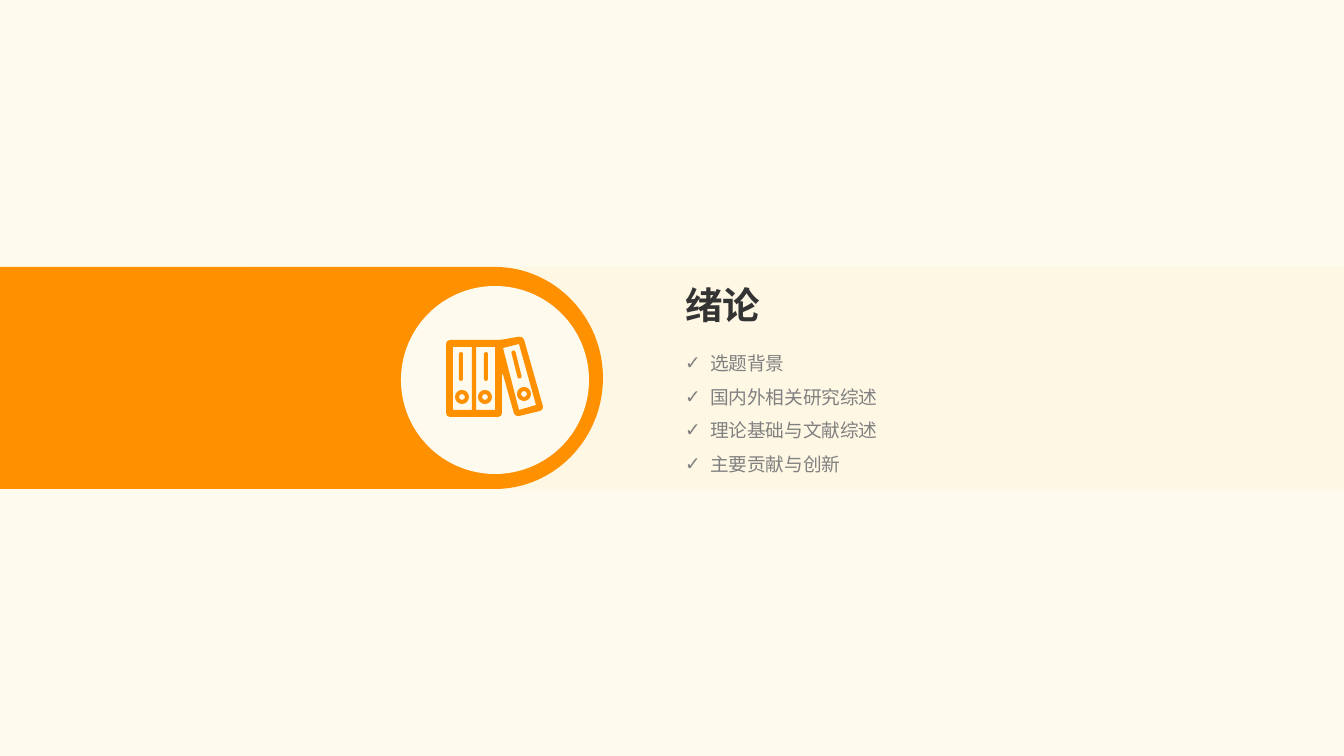
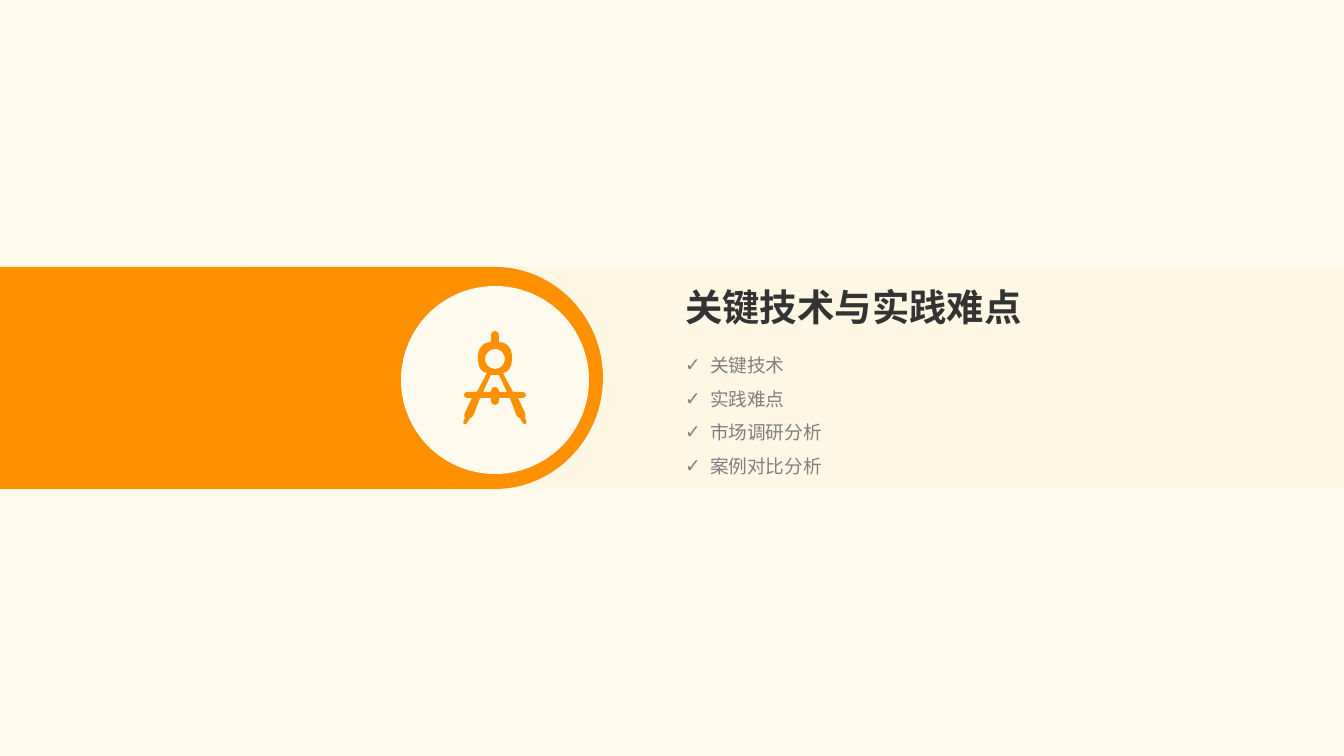
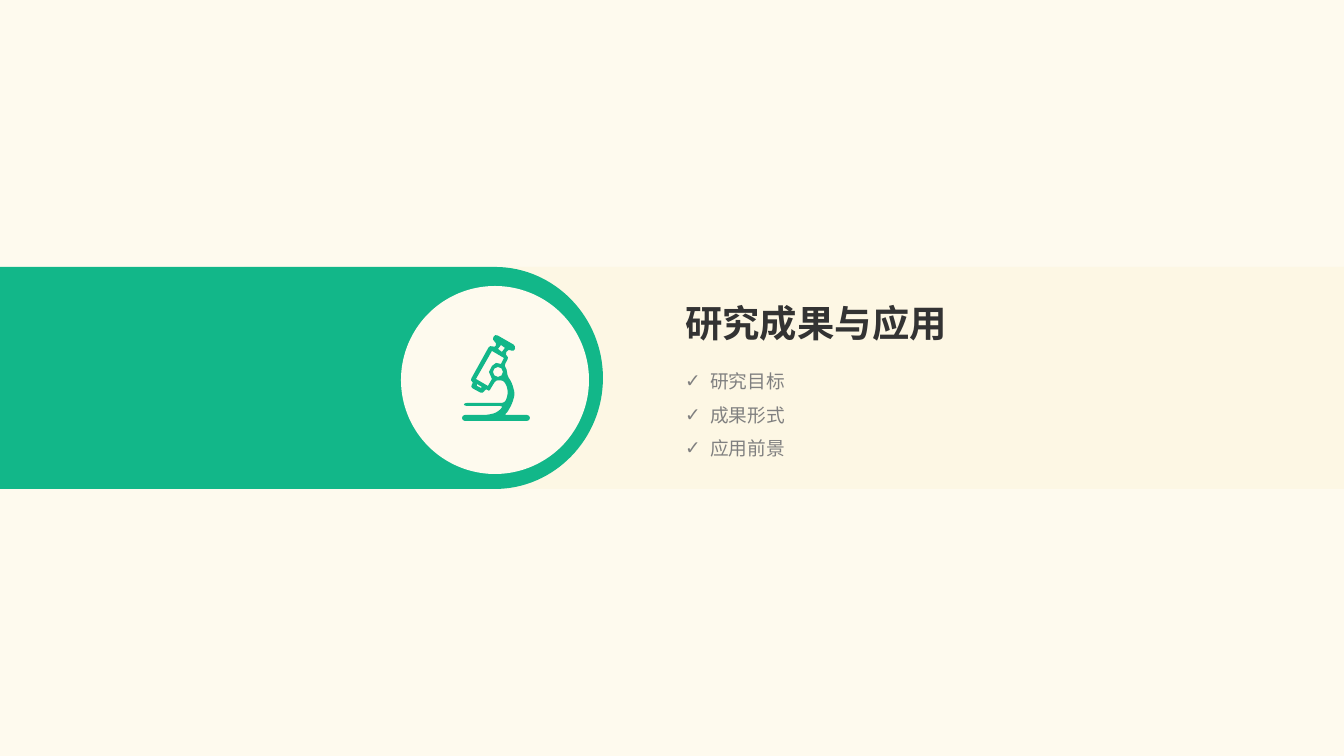
import math

import pptx
import pptx.dml.color
import pptx.enum.shapes
import pptx.enum.text
import pptx.oxml.ns
import pptx.util
from lxml import etree

PX = 914400 / 134.4
CREAM, SAND, ORANGE, GREEN = "FEFAEE", "FBECC0", "FF9101", "12B789"
DARK, GREY = "333333", "808080"
BAND_TOP, BAND_HEIGHT = 267, 222
ICON_CENTER = 495
TEXT_LEFT, TITLE_HEIGHT = 672, 59
ARC_PULL = 0.55

SECTIONS = [
    {
        "title": "绪论",
        "items": ["选题背景", "国内外相关研究综述", "理论基础与文献综述", "主要贡献与创新"],
        "font": "Arial", "color": ORANGE, "icon": "binders",
        "title_top": 276, "title_width": 106, "list_box": (334, 222, 149),
    },
    {
        "title": "关键技术与实践难点",
        "items": ["关键技术", "实践难点", "市场调研分析", "案例对比分析"],
        "font": "Roboto Condensed", "color": ORANGE, "icon": "compass",
        "title_top": 278, "title_width": 434, "list_box": (336, 165, 145),
    },
    {
        "title": "研究成果与应用",
        "items": ["研究目标", "成果形式", "应用前景"],
        "font": "Roboto Condensed", "color": GREEN, "icon": "microscope",
        "title_top": 294, "title_width": 306, "list_box": (352, 128, 112),
    },
]

BINDER_OUTLINE = [(446, 340), (500, 340), (523, 336), (544, 410), (515, 417),
                  (502, 371), (502, 417), (446, 417)]
BINDER_COVERS = [
    [(453, 347), (472, 347), (472, 410), (453, 410)],
    [(476, 347), (495, 347), (495, 410), (476, 410)],
    [(503, 348), (519, 344), (536, 405), (519, 410)],
]
BINDER_LABELS = [
    [(459, 352), (463, 352), (463, 381), (459, 381)],
    [(484, 352), (488, 352), (488, 381), (484, 381)],
    [(511, 351), (515, 350), (522, 378), (518, 379)],
]
BINDER_RINGS = [(462, 397), (485, 397), (524, 394)]

COMPASS_HALF = [(4, 331, 4), (4, 342, 0), (17, 342, 13), (17, 373, 13), (8, 373, 0),
                (18, 392, 0), (31, 392), (31, 398), (23, 398, 0), (31, 415),
                (30, 418, 0), (32, 422), (31, 425), (28, 424), (25, 418, 0),
                (22, 417), (15, 398, 0), (4, 398, 0), (4, 405, 4)]
COMPASS_GAP_HALF = [(4, 375, 0), (12, 392, 0), (4, 392, 0), (4, 387, 4)]

MICROSCOPE_OUTLINE = [
    (507, 375), (512, 383), (515, 394), (512, 404), (507, 413), (504, 415),
    (530, 415), (530, 421), (462, 421), (462, 415), (487, 415), (496, 413),
    (501, 409), (503, 406), (464, 406), (464, 403), (505, 403), (508, 394),
    (507, 386), (503, 380), (499, 381), (496, 380), (491, 388), (489, 392),
    (486, 388), (483, 394), (470, 387), (474, 382), (470, 381), (490, 345),
    (495, 348), (497, 343), (492, 340), (495, 334), (516, 346), (514, 352),
    (508, 349), (505, 355), (509, 357), (504, 366), (507, 369)]
MICROSCOPE_HOLES = [
    [(505, 348), (501, 345), (498, 349), (502, 352)],
    [(501, 364), (504, 358), (492, 351), (476, 379), (488, 386), (492, 379),
     (489, 372), (492, 366), (496, 363)],
    [(477, 384), (477, 386), (481, 388), (482, 387)],
]


def rgb(value):
    return pptx.dml.color.RGBColor.from_string(value)


def emu(pixels):
    return round(pixels * PX)


def between(start, end, share):
    return tuple(a + (b - a) * share for a, b in zip(start, end))


def polygon(points):
    return points[0], [(point,) for point in points[1:]]


def rounded(points, radius):
    start, steps = None, []
    for index, (x, y, *own) in enumerate(points):
        corner = (x, y)
        ends = []
        for neighbour in (points[index - 1][:2], points[(index + 1) % len(points)][:2]):
            length = math.dist(corner, neighbour)
            reach = min(own[0], length) if own else min(radius, length / 2)
            ends.append(between(corner, neighbour, reach / length))
        first, last = ends
        if start is None:
            start = first
        else:
            steps.append((first,))
        if first != last:
            steps.append((between(first, corner, ARC_PULL),
                          between(last, corner, ARC_PULL), last))
    return start, steps


def circle(center_x, center_y, radius):
    start = (center_x + radius, center_y)
    pull = radius * ARC_PULL
    across, down, steps = radius, 0, []
    for _ in range(4):
        turned = (-down, across)
        first = (center_x + across - down * pull / radius,
                 center_y + down + across * pull / radius)
        second = (center_x + turned[0] + across * pull / radius,
                  center_y + turned[1] + down * pull / radius)
        across, down = turned
        steps.append((first, second, (center_x + across, center_y + down)))
    return start, steps


def mirrored(half):
    right = [(ICON_CENTER + x, *rest) for x, *rest in half]
    left = [(ICON_CENTER - x, *rest) for x, *rest in reversed(half)]
    return right + left


def band_tab():
    half = BAND_HEIGHT / 2
    middle, bottom = BAND_TOP + half, BAND_TOP + BAND_HEIGHT
    right, pull = 603, 108 * ARC_PULL
    rise = half * ARC_PULL
    return (0, BAND_TOP), [
        ((ICON_CENTER, BAND_TOP),),
        ((ICON_CENTER + pull, BAND_TOP), (right, middle - rise), (right, middle)),
        ((right, middle + rise), (ICON_CENTER + pull, bottom), (ICON_CENTER, bottom)),
        ((0, bottom),),
    ]


ICONS = {
    "binders": [rounded(BINDER_OUTLINE, 4), *map(polygon, BINDER_COVERS),
                *[rounded(label, 2) for label in BINDER_LABELS],
                *[circle(x, y, radius) for x, y in BINDER_RINGS for radius in (7, 3)]],
    "compass": [rounded(mirrored(COMPASS_HALF), 3), circle(ICON_CENTER, 359, 10),
                rounded(mirrored(COMPASS_GAP_HALF), 0)],
    "microscope": [rounded(MICROSCOPE_OUTLINE, 3), *map(polygon, MICROSCOPE_HOLES),
                   circle(498, 372, 5)],
}


def paint(shape, color, opacity=100):
    shape.shadow.inherit = False
    shape.fill.solid()
    shape.fill.fore_color.rgb = rgb(color)
    shape.line.fill.background()
    if opacity < 100:
        color_element = shape.fill._xPr.find(".//" + pptx.oxml.ns.qn("a:srgbClr"))
        alpha = etree.SubElement(color_element, pptx.oxml.ns.qn("a:alpha"))
        alpha.set("val", str(opacity * 1000))


def add_preset(slide, kind, box, color, opacity=100):
    shape = slide.shapes.add_shape(kind, *map(emu, box))
    paint(shape, color, opacity)


def add_outline(slide, contours, color):
    builder = slide.shapes.build_freeform(*map(emu, contours[0][0]))
    for index, (start, steps) in enumerate(contours):
        if index:
            builder.move_to(*map(emu, start))
        points = [tuple(map(emu, point)) for step in steps for point in step]
        builder.add_line_segments(points, close=False)
        builder._add_close()
    shape = builder.convert_to_shape()
    segments = iter(list(shape._element.iter(pptx.oxml.ns.qn("a:lnTo"))))
    for step in [step for _, steps in contours for step in steps]:
        first, *others = [next(segments) for _ in step]
        if others:
            curve = etree.Element(pptx.oxml.ns.qn("a:cubicBezTo"))
            first.addprevious(curve)
            for segment in (first, *others):
                curve.append(segment[0])
                segment.getparent().remove(segment)
    paint(shape, color)


def add_text(slide, box, lines, font, size, color, bold=False, bullet=None):
    frame = slide.shapes.add_textbox(*map(emu, box)).text_frame
    frame.word_wrap = bullet is None
    frame.auto_size = pptx.enum.text.MSO_AUTO_SIZE.SHAPE_TO_FIT_TEXT
    for index, line in enumerate(lines):
        paragraph = frame.add_paragraph() if index else frame.paragraphs[0]
        if bullet:
            properties = paragraph._p.get_or_add_pPr()
            properties.set("marL", str(emu(25)))
            properties.set("indent", str(-emu(25)))
            for tag, name, value in (("a:buFont", "typeface", "Arial"),
                                     ("a:buChar", "char", bullet)):
                etree.SubElement(properties, pptx.oxml.ns.qn(tag)).set(name, value)
            paragraph.line_spacing = 1.5
        run = paragraph.add_run()
        run.text = line
        run.font.name = font
        run.font.size = pptx.util.Pt(size)
        run.font.bold = bold
        run.font.color.rgb = rgb(color)


def add_section(presentation, section):
    slide = presentation.slides.add_slide(presentation.slide_layouts[6])
    slide.background.fill.solid()
    slide.background.fill.fore_color.rgb = rgb(CREAM)
    kinds = pptx.enum.shapes.MSO_SHAPE
    add_preset(slide, kinds.RECTANGLE, (245, BAND_TOP, 1099, BAND_HEIGHT), SAND, 20)
    add_outline(slide, [band_tab()], section["color"])
    add_preset(slide, kinds.OVAL, (401, 286, 188, 188), CREAM)
    add_outline(slide, ICONS[section["icon"]], section["color"])
    add_text(slide, (TEXT_LEFT, *section["list_box"]),
             section["items"], section["font"], 10, GREY, bullet="✓")
    add_text(slide, (TEXT_LEFT, section["title_top"], section["title_width"], TITLE_HEIGHT),
             [section["title"]], section["font"], 20, DARK, bold=True)


def main():
    presentation = pptx.Presentation()
    presentation.slide_width = emu(1344)
    presentation.slide_height = emu(756)
    for section in SECTIONS:
        add_section(presentation, section)
    presentation.save("out.pptx")


if __name__ == "__main__":
    main()
